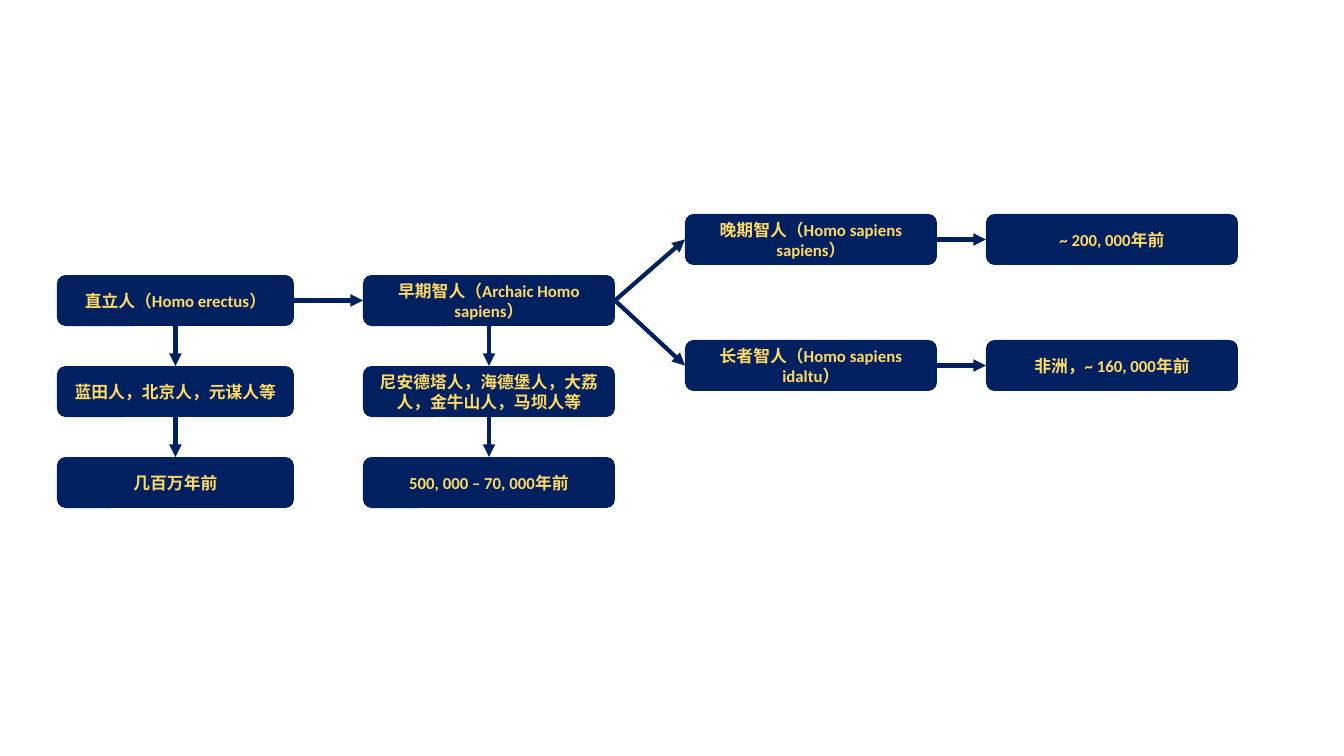
"""Builds a flow chart of human evolution with dated stages."""
from lxml import etree
from pptx import Presentation
from pptx.dml.color import RGBColor
from pptx.enum.shapes import MSO_CONNECTOR, MSO_SHAPE
from pptx.enum.text import MSO_ANCHOR, PP_ALIGN
from pptx.oxml.ns import qn
from pptx.util import Pt

ROUNDED = MSO_SHAPE.ROUNDED_RECTANGLE
STRAIGHT = MSO_CONNECTOR.STRAIGHT
MIDDLE = MSO_ANCHOR.MIDDLE
CENTER = PP_ALIGN.CENTER
TOP, LEFT, BOTTOM, RIGHT = range(4)


def px(pixels):
    return round(pixels * 914400 / 100.8)


def color(value):
    return RGBColor.from_string(value)


class FlowChart:
    navy = "002060"
    gold = "FFD966"
    font = "Calibri"
    size = 12
    line_width = 3
    box_height = 51

    def __init__(self, slide):
        self.slide = slide

    def box(self, left, top, width, text):
        shape = self.slide.shapes.add_shape(
            ROUNDED, px(left), px(top), px(width), px(self.box_height))
        shape.shadow.inherit = False
        shape.fill.solid()
        shape.fill.fore_color.rgb = color(self.navy)
        shape.line.fill.background()
        frame = shape.text_frame
        frame.word_wrap = True
        frame.vertical_anchor = MIDDLE
        frame.text = text
        paragraph = frame.paragraphs[0]
        paragraph.alignment = CENTER
        font = paragraph.runs[0].font
        font.name = self.font
        font.size = Pt(self.size)
        font.bold = True
        font.color.rgb = color(self.gold)
        return shape

    def arrow(self, start, start_side, end, end_side):
        connector = self.slide.shapes.add_connector(STRAIGHT, 0, 0, 0, 0)
        connector.begin_connect(start, start_side)
        connector.end_connect(end, end_side)
        connector.line.color.rgb = color(self.navy)
        connector.line.width = Pt(self.line_width)
        line = connector.line._get_or_add_ln()
        etree.SubElement(line, qn("a:tailEnd"), type="triangle")
        etree.SubElement(connector._element.spPr, qn("a:effectLst"))

    def column(self, left, width, texts):
        boxes = [self.box(left, 275 + 91 * row, width, text)
                 for row, text in enumerate(texts)]
        for upper, lower in zip(boxes, boxes[1:]):
            self.arrow(upper, BOTTOM, lower, TOP)
        return boxes[0]

    def branch(self, origin, top, species, date):
        species_box = self.box(685, top, 252, species)
        date_box = self.box(986, top, 252, date)
        self.arrow(origin, RIGHT, species_box, LEFT)
        self.arrow(species_box, RIGHT, date_box, LEFT)


presentation = Presentation()
presentation.slide_width = px(1344)
presentation.slide_height = px(756)
chart = FlowChart(presentation.slides.add_slide(presentation.slide_layouts[6]))

erectus = chart.column(57, 237, [
    "直立人（Homo erectus）",
    "蓝田人，北京人，元谋人等",
    "几百万年前",
])
archaic = chart.column(363, 252, [
    "早期智人（Archaic Homo sapiens）",
    "尼安德塔人，海德堡人，大荔人，金牛山人，马坝人等",
    "500, 000 – 70, 000年前",
])
chart.arrow(erectus, RIGHT, archaic, LEFT)
chart.branch(archaic, 214, "晚期智人（Homo sapiens sapiens）", "~ 200, 000年前")
chart.branch(archaic, 340, "长者智人（Homo sapiens idaltu）", "非洲，~ 160, 000年前")

presentation.save("out.pptx")
